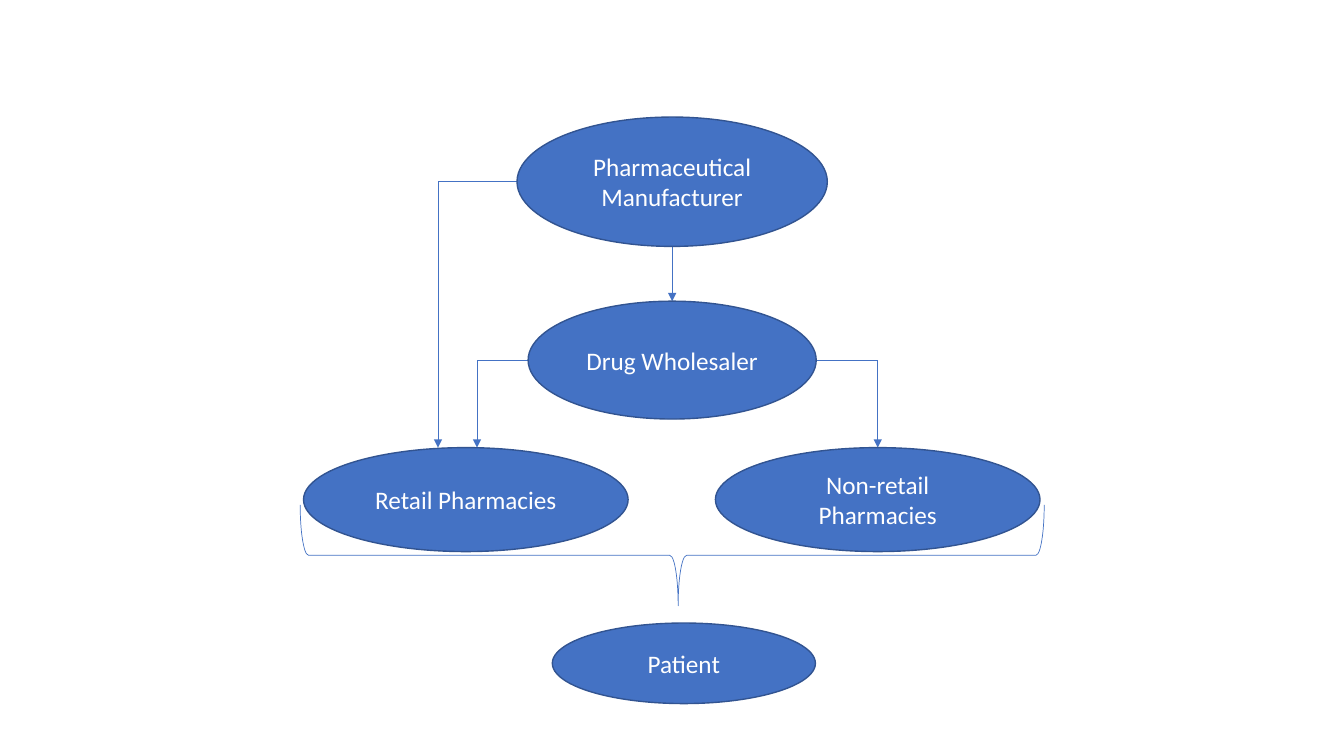
from dataclasses import dataclass

from lxml import etree
from pptx import Presentation
from pptx import util as u
from pptx.dml.color import RGBColor
from pptx.enum import shapes, text
from pptx.oxml import ns

BLUE = RGBColor(0x44, 0x72, 0xC4)
OUTLINE = RGBColor(0x32, 0x54, 0x91)
WHITE = RGBColor(0xFF, 0xFF, 0xFF)
FONT = "Calibri"


@dataclass(frozen=True)
class Party:
    label: str
    left: float
    top: float
    width: float
    height: float

    @property
    def right(self) -> float:
        return self.left + self.width

    @property
    def bottom(self) -> float:
        return self.top + self.height

    @property
    def center_x(self) -> float:
        return self.left + self.width / 2

    @property
    def center_y(self) -> float:
        return self.top + self.height / 2


@dataclass(frozen=True)
class Route:
    points: tuple[tuple[float, float], ...]


def elbow(start_x: float, start_y: float, x: float, end_y: float) -> Route:
    return Route(((start_x, start_y), (x, start_y), (x, end_y)))


def draw_party(s, party: Party) -> None:
    sp = s.shapes.add_shape(
        shapes.MSO_SHAPE.OVAL,
        u.Cm(party.left), u.Cm(party.top), u.Cm(party.width), u.Cm(party.height),
    )
    sp.shadow.inherit = False
    sp.fill.solid()
    sp.fill.fore_color.rgb = BLUE
    sp.line.color.rgb = OUTLINE
    sp.line.width = u.Pt(1)
    tf = sp.text_frame
    tf.word_wrap = True
    tf.vertical_anchor = text.MSO_ANCHOR.MIDDLE
    tf.text = party.label
    p = tf.paragraphs[0]
    p.alignment = text.PP_ALIGN.CENTER
    r = p.runs[0]
    r.font.name = FONT
    r.font.size = u.Pt(18)
    r.font.color.rgb = WHITE


def draw_route(s, route: Route) -> None:
    for start, end in zip(route.points, route.points[1:]):
        cx = s.shapes.add_connector(
            shapes.MSO_CONNECTOR.STRAIGHT, *(u.Cm(v) for v in start + end)
        )
        cx.line.color.rgb = BLUE
        cx.line.width = u.Pt(0.5)
        if end == route.points[-1]:
            ln = cx.line._get_or_add_ln()
            etree.SubElement(ln, ns.qn("a:tailEnd"), type="triangle")
        etree.SubElement(cx._element.spPr, ns.qn("a:effectLst"))


def draw_brace(s, left: float, top: float, width: float, height: float) -> None:
    sp = s.shapes.add_shape(
        shapes.MSO_SHAPE.RIGHT_BRACE,
        u.Cm(left), u.Cm(top), u.Cm(width), u.Cm(height),
    )
    sp.rotation = 90
    sp.adjustments[0] = 0.083
    sp.adjustments[1] = 0.492
    sp.shadow.inherit = False
    sp.fill.background()
    sp.line.color.rgb = BLUE
    sp.line.width = u.Pt(0.5)


MANUFACTURER = Party("Pharmaceutical Manufacturer", 13.03, 2.95, 7.82, 3.26)
WHOLESALER = Party("Drug Wholesaler", 13.31, 7.59, 7.26, 2.97)
RETAIL = Party("Retail Pharmacies", 7.65, 11.28, 8.18, 2.62)
NON_RETAIL = Party("Non-retail Pharmacies", 18.03, 11.28, 8.18, 2.62)
PATIENT = Party("Patient", 13.92, 15.7, 6.63, 2.03)
PARTIES = (MANUFACTURER, WHOLESALER, RETAIL, NON_RETAIL, PATIENT)

ROUTES = (
    Route((
        (MANUFACTURER.center_x, MANUFACTURER.bottom),
        (MANUFACTURER.center_x, WHOLESALER.top),
    )),
    elbow(MANUFACTURER.left, MANUFACTURER.center_y, 11.04, RETAIL.top),
    elbow(WHOLESALER.left, WHOLESALER.center_y, 12.02, RETAIL.top),
    elbow(WHOLESALER.right, WHOLESALER.center_y, NON_RETAIL.center_x, NON_RETAIL.top),
)

prs = Presentation()
prs.slide_width = u.Cm(33.87)
prs.slide_height = u.Cm(19.05)
s = prs.slides.add_slide(prs.slide_layouts[6])

for route in ROUTES:
    draw_route(s, route)
draw_brace(s, 15.67, 4.62, 2.54, 18.75)
for party in PARTIES:
    draw_party(s, party)

prs.save("out.pptx")
